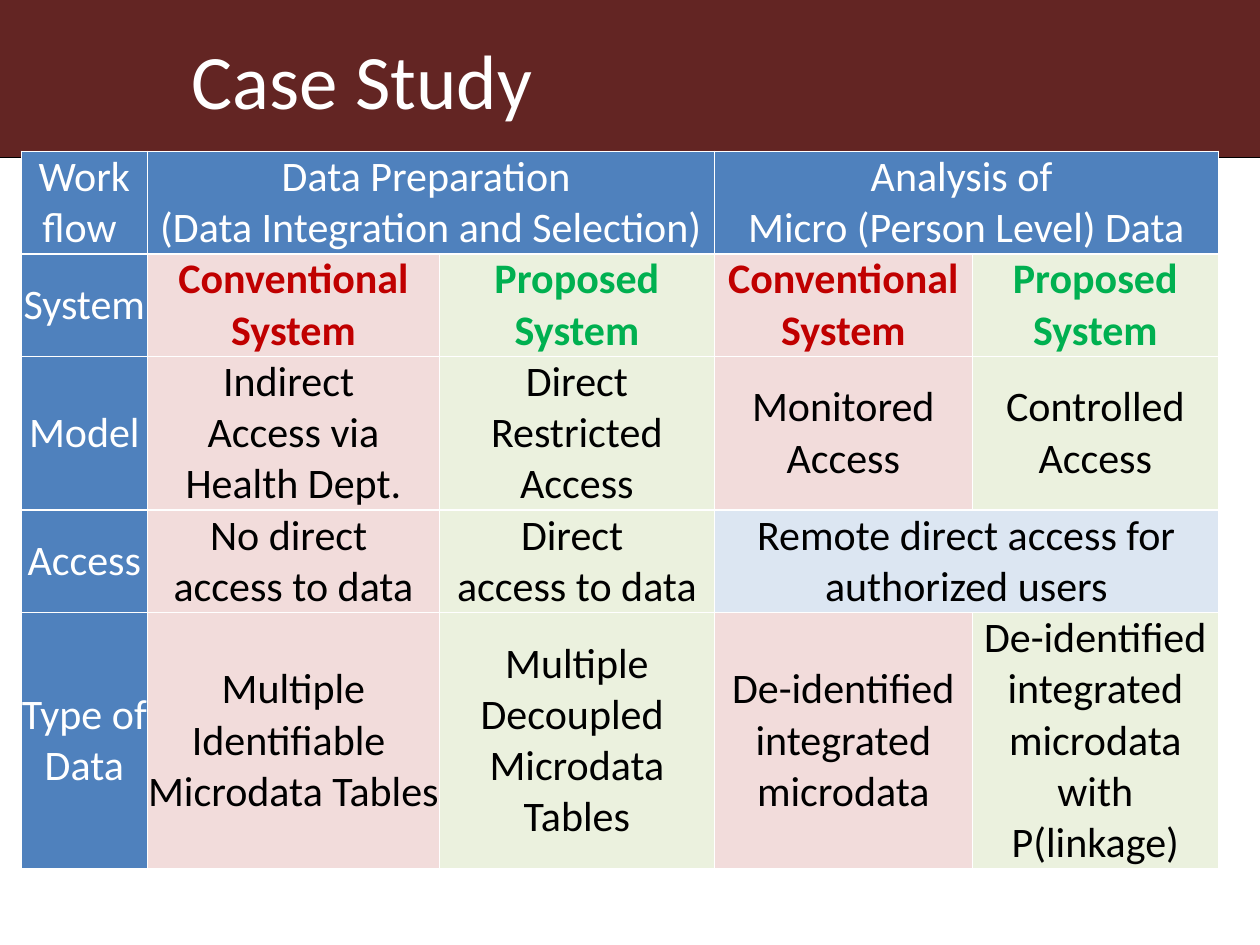
from dataclasses import dataclass

from lxml import etree
from pptx import Presentation
from pptx import util as u
from pptx.dml.color import RGBColor
from pptx.enum import shapes, text
from pptx.oxml import ns


@dataclass(frozen=True)
class Theme:
    font: str = "Calibri"
    title_size: int = 44
    cell_size: int = 24
    band: str = "632523"
    white: str = "FFFFFF"
    black: str = "000000"
    label: str = "4F81BD"
    conventional: str = "F2DCDB"
    proposed: str = "EBF1DE"
    shared: str = "DCE6F2"
    red: str = "C00000"
    green: str = "00B050"


theme = Theme()


def rgb(value):
    return RGBColor.from_string(value)


def style(p, size, color, align, bold=False):
    p.alignment = align
    p.font.name = theme.font
    p.font.size = u.Pt(size)
    p.font.bold = bold
    p.font.color.rgb = rgb(color)


prs = Presentation()
prs.slide_width, prs.slide_height = u.Cm(25.4), u.Cm(19.05)
s = prs.slides.add_slide(prs.slide_layouts[5])
band_height = u.Cm(3.18)

title = s.shapes.title
title.left, title.top = u.Cm(3.61), u.Cm(0)
title.width, title.height = u.Cm(21.79), band_height
tf = title.text_frame
tf.text = "Case Study"
tf.vertical_anchor = text.MSO_ANCHOR.MIDDLE
style(tf.paragraphs[0], theme.title_size, theme.white, text.PP_ALIGN.LEFT)

band = s.shapes.add_shape(
    shapes.MSO_SHAPE.RECTANGLE, 0, 0, prs.slide_width, band_height
)
band.shadow.inherit = False
band.fill.solid()
band.fill.fore_color.rgb = rgb(theme.band)
band.line.fill.background()

rule = s.shapes.add_connector(
    shapes.MSO_CONNECTOR.STRAIGHT, 0, band_height, prs.slide_width, band_height
)
rule.line.color.rgb = rgb(theme.black)
rule.line.width = u.Pt(0.75)
etree.SubElement(rule.element.spPr, ns.qn("a:effectLst"))

for sp in (band, rule):
    title.element.addprevious(sp.element)

rows = [
    ["Work\nflow ", "Data Preparation \n(Data Integration and Selection)", None,
     "Analysis of \nMicro (Person Level) Data", None],
    ["System", "Conventional System", "Proposed System",
     "Conventional System", "Proposed System"],
    ["Model", "Indirect \nAccess via Health Dept.", "Direct Restricted Access",
     "Monitored Access", "Controlled Access"],
    ["Access", "No direct \naccess to data", "Direct \naccess to data",
     "Remote direct access for authorized users", None],
    ["Type of Data", "Multiple Identifiable \nMicrodata Tables ",
     "Multiple Decoupled \nMicrodata Tables",
     "De-identified integrated microdata",
     "De-identified integrated microdata with P(linkage)"],
]
column_widths = [2.54, 5.89, 5.54, 5.2, 4.96]
row_lines = [2, 2, 3, 2, 5]
line_height = 1.03
column_fills = [theme.label] + [theme.conventional, theme.proposed] * 2
system_colors = [theme.white] + [theme.red, theme.green] * 2

table = s.shapes.add_table(
    len(rows), len(column_widths), u.Cm(0.43), u.Cm(3.05),
    u.Cm(sum(column_widths)), u.Cm(sum(row_lines) * line_height),
).table
table.horz_banding = False
for column, width in zip(table.columns, column_widths):
    column.width = u.Cm(width)
for row, lines in zip(table.rows, row_lines):
    row.height = u.Cm(lines * line_height)

for i, row in enumerate(rows):
    for j, words in enumerate(row):
        cell = table.cell(i, j)
        if words is None:
            table.cell(i, j - 1).merge(cell)
            continue
        merged = j + 1 < len(row) and row[j + 1] is None
        is_label = i == 0 or j == 0
        fill, color = column_fills[j], theme.black
        if is_label:
            fill, color = theme.label, theme.white
        elif merged:
            fill = theme.shared
        elif i == 1:
            color = system_colors[j]
        cell.fill.solid()
        cell.fill.fore_color.rgb = rgb(fill)
        cell.margin_left = cell.margin_right = 0
        cell.margin_top = cell.margin_bottom = 0
        cell.vertical_anchor = text.MSO_ANCHOR.MIDDLE
        cell.text = words
        for p in cell.text_frame.paragraphs:
            style(p, theme.cell_size, color, text.PP_ALIGN.CENTER,
                  bold=i == 1 and not is_label)

prs.save("out.pptx")
